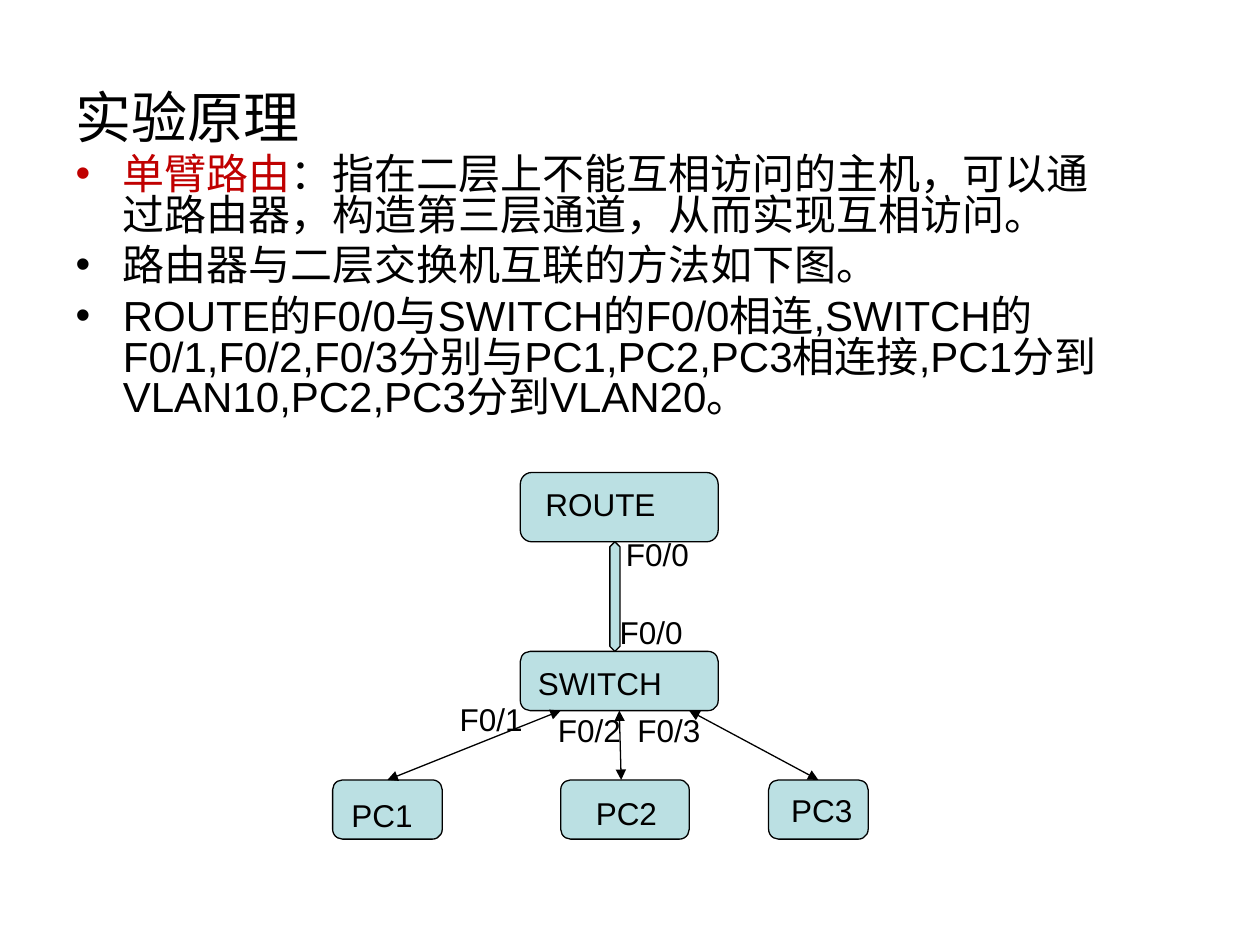
from lxml import etree
from pptx import Presentation
from pptx.dml.color import RGBColor
from pptx.enum import shapes, text
from pptx.oxml import ns
from pptx.util import Inches, Pt

BLACK = RGBColor(0x00, 0x00, 0x00)
RED = RGBColor(0xC0, 0x00, 0x00)
TEAL = RGBColor(0xBB, 0xE0, 0xE3)
FONT = "Arial"

BULLETS = [
    [("单臂路由", RED),
     ("：指在二层上不能互相访问的主机，可以通过路由器，构造第三层通道，从而实现互相访问。", BLACK)],
    [("路由器与二层交换机互联的方法如下图。", BLACK)],
    [("ROUTE的F0/0与SWITCH的F0/0相连,SWITCH的F0/1,F0/2,F0/3分别与PC1,PC2,PC3相连接,"
      "PC1分到VLAN10,PC2,PC3分到VLAN20。", BLACK)],
]

# Device name: left, top, width, height
DEVICES = {
    "ROUTE": (4.13, 3.75, 1.57, 0.55),
    "SWITCH": (4.13, 5.17, 1.57, 0.47),
    "PC1": (2.64, 6.19, 0.87, 0.47),
    "PC2": (4.45, 6.19, 1.02, 0.47),
    "PC3": (6.1, 6.19, 0.79, 0.47),
}

# Text, left, top, width
LABELS = [
    ("ROUTE", 4.23, 3.8, 1.71),
    ("F0/0", 4.87, 4.2, 1.16),
    ("F0/0", 4.82, 4.82, 1.05),
    ("SWITCH", 4.17, 5.22, 1.73),
    ("F0/1", 3.55, 5.51, 1.05),
    ("F0/2", 4.33, 5.59, 1.05),
    ("F0/3", 4.96, 5.59, 1.05),
    ("PC1", 2.69, 6.27, 1.05),
    ("PC2", 4.63, 6.25, 1.05),
    ("PC3", 6.18, 6.23, 1.05),
]


def place(sp, left, top, width, height):
    sp.left, sp.top = Inches(left), Inches(top)
    sp.width, sp.height = Inches(width), Inches(height)


def add_run(p, content, size, color=BLACK):
    r = p.add_run()
    r.text = content
    r.font.name = FONT
    r.font.size = Pt(size)
    r.font.color.rgb = color


def fill_title(sp):
    place(sp, 0.5, 0.3, 9, 1.25)
    tf = sp.text_frame
    tf.auto_size = text.MSO_AUTO_SIZE.NONE
    tf.vertical_anchor = text.MSO_ANCHOR.MIDDLE
    p = tf.paragraphs[0]
    p.alignment = text.PP_ALIGN.LEFT
    add_run(p, "实验原理", 32)


def fill_body(sp):
    place(sp, 0.5, 1.2, 8.52, 2.55)
    tf = sp.text_frame
    tf.auto_size = text.MSO_AUTO_SIZE.NONE
    for i, runs in enumerate(BULLETS):
        p = tf.add_paragraph() if i else tf.paragraphs[0]
        p.line_spacing = 0.8
        p.space_before = Pt(6 if i else 0)
        for content, color in runs:
            add_run(p, content, 24, color)


def add_block(s, kind, left, top, width, height):
    sp = s.shapes.add_shape(kind, Inches(left), Inches(top), Inches(width), Inches(height))
    sp.shadow.inherit = False
    sp.fill.solid()
    sp.fill.fore_color.rgb = TEAL
    sp.line.color.rgb = BLACK
    sp.line.width = Pt(0.75)
    return sp


def add_link(s, x1, y1, x2, y2):
    cx = s.shapes.add_connector(shapes.MSO_CONNECTOR.STRAIGHT,
                                Inches(x1), Inches(y1), Inches(x2), Inches(y2))
    cx.line.color.rgb = BLACK
    cx.line.width = Pt(0.75)
    ln = cx.line._get_or_add_ln()
    for end in ("a:headEnd", "a:tailEnd"):
        etree.SubElement(ln, ns.qn(end), type="triangle")
    etree.SubElement(cx._element.spPr, ns.qn("a:effectLst"))
    return cx


def add_label(s, content, left, top, width):
    sp = s.shapes.add_textbox(Inches(left), Inches(top), Inches(width), Inches(0.4))
    tf = sp.text_frame
    tf.word_wrap = True
    tf.auto_size = text.MSO_AUTO_SIZE.SHAPE_TO_FIT_TEXT
    add_run(tf.paragraphs[0], content, 18)


def main():
    prs = Presentation()
    prs.slide_width, prs.slide_height = Inches(10), Inches(7.5)
    s = prs.slides.add_slide(prs.slide_layouts[1])

    # Heading and explanation
    fill_title(s.shapes.title)
    fill_body(s.placeholders[1])

    # Network devices
    rounded = shapes.MSO_SHAPE.FLOWCHART_ALTERNATE_PROCESS
    device = {name: add_block(s, rounded, *box) for name, box in DEVICES.items()}

    # Trunk between router and switch
    trunk = add_block(s, shapes.MSO_SHAPE.UP_DOWN_ARROW, 4.84, 4.3, 0.08, 0.87)
    trunk.adjustments[0] = 0.5
    trunk.adjustments[1] = 2.085

    # Links from switch to computers
    add_link(s, 4.45, 5.64, 3.07, 6.19).end_connect(device["PC1"], 0)
    add_link(s, 4.92, 5.64, 4.93, 6.19).begin_connect(device["SWITCH"], 2)
    add_link(s, 5.47, 5.64, 6.5, 6.19).end_connect(device["PC3"], 0)

    # Device and port names
    for label in LABELS:
        add_label(s, *label)

    prs.save("out.pptx")


if __name__ == "__main__":
    main()
